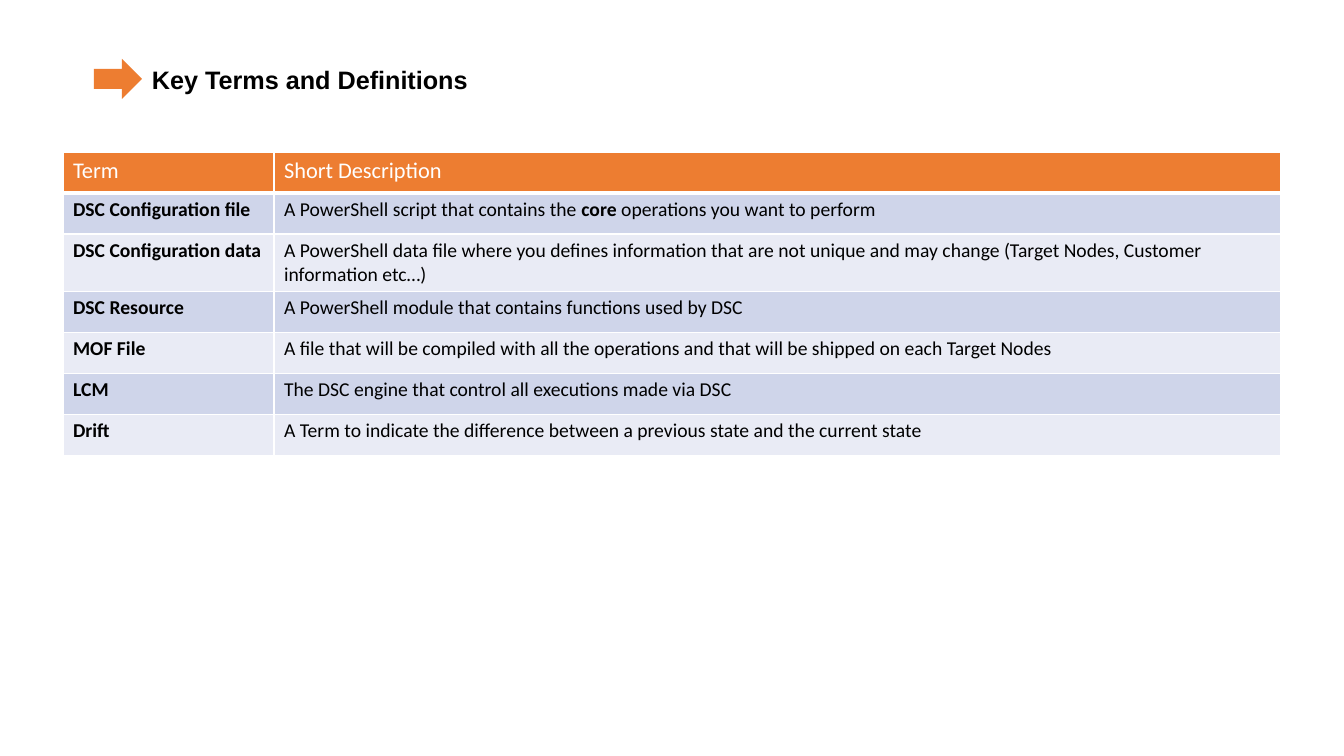
import pptx
import pptx.dml.color
import pptx.enum.shapes
import pptx.enum.text
import pptx.oxml
import pptx.oxml.ns
import pptx.util

TITLE = "Key Terms and Definitions"
HEADER = ("Term", ["Short Description"])
TERMS = [
    ("DSC Configuration file",
     ["A PowerShell script that contains the ", "core", " operations you want to perform"]),
    ("DSC Configuration data",
     ["A PowerShell data file where you defines information that are not unique "
      "and may change (Target Nodes, Customer information etc…)"]),
    ("DSC Resource", ["A PowerShell module that contains functions used by DSC"]),
    ("MOF File",
     ["A file that will be compiled with all the operations "
      "and that will be shipped on each Target Nodes"]),
    ("LCM", ["The DSC engine that control all executions made via DSC"]),
    ("Drift",
     ["A Term to indicate the difference between a previous state and the current state"]),
]
COLORS = {"accent": "ED7D31", "odd": "CFD5EA", "even": "E9EBF5",
          "white": "FFFFFF", "black": "000000"}
COLUMN_WIDTHS = [211, 1007]
ROW_HEIGHT = 41
ARROW = (94, 59, 48, 40)
TITLE_BOX = (142, 59, 340, 40)
TABLE_LEFT, TABLE_TOP = 63, 152


def px(length):
    return pptx.util.Emu(round(length * 914400 / 100.8))


def rgb(name):
    return pptx.dml.color.RGBColor.from_string(COLORS[name])


def style_run(run, font, size, color, bold):
    run.font.name = font
    run.font.size = pptx.util.Pt(size)
    run.font.color.rgb = rgb(color)
    run.font.bold = bold


def add_borders(cell, bottom_width):
    properties = cell._tc.get_or_add_tcPr()
    for side, points in (("L", 1), ("R", 1), ("T", 1), ("B", bottom_width)):
        properties.append(pptx.oxml.parse_xml(
            f'<a:ln{side} {pptx.oxml.ns.nsdecls("a")} w="{pptx.util.Pt(points)}">'
            f'<a:solidFill><a:srgbClr val="{COLORS["white"]}"/></a:solidFill></a:ln{side}>'))


def fill_cell(cell, pieces, fill, size, color, bold_pieces, bottom_width):
    add_borders(cell, bottom_width)
    cell.fill.solid()
    cell.fill.fore_color.rgb = rgb(fill)
    paragraph = cell.text_frame.paragraphs[0]
    for index, piece in enumerate(pieces):
        run = paragraph.add_run()
        run.text = piece
        style_run(run, "Calibri", size, color, index in bold_pieces)


def add_title(slide):
    arrow = slide.shapes.add_shape(
        pptx.enum.shapes.MSO_SHAPE.RIGHT_ARROW, *map(px, ARROW))
    arrow.shadow.inherit = False
    arrow.fill.solid()
    arrow.fill.fore_color.rgb = rgb("accent")
    arrow.line.fill.background()
    text_frame = slide.shapes.add_textbox(*map(px, TITLE_BOX)).text_frame
    text_frame.word_wrap = False
    text_frame.auto_size = pptx.enum.text.MSO_AUTO_SIZE.SHAPE_TO_FIT_TEXT
    text_frame.text = TITLE
    style_run(text_frame.paragraphs[0].runs[0], "Arial", 18, "black", True)


def add_terms_table(slide):
    rows = [HEADER] + TERMS
    table = slide.shapes.add_table(
        len(rows), len(COLUMN_WIDTHS), px(TABLE_LEFT), px(TABLE_TOP),
        px(sum(COLUMN_WIDTHS)), px(ROW_HEIGHT * len(rows))).table
    for column, width in zip(table.columns, COLUMN_WIDTHS):
        column.width = px(width)
    for index, (term, description) in enumerate(rows):
        table.rows[index].height = px(ROW_HEIGHT)
        if index == 0:
            look, bold_term, bold_description = ("accent", 16, "white"), (), ()
        else:
            look = ("odd" if index % 2 else "even", 14, "black")
            bold_term, bold_description = (0,), (1,)
        bottom_width = 1 if index else 3
        fill_cell(table.cell(index, 0), [term], *look, bold_term, bottom_width)
        fill_cell(table.cell(index, 1), description, *look, bold_description, bottom_width)


def main():
    presentation = pptx.Presentation()
    presentation.slide_width = px(1344)
    presentation.slide_height = px(756)
    slide = presentation.slides.add_slide(presentation.slide_layouts[6])
    add_title(slide)
    add_terms_table(slide)
    presentation.save("out.pptx")


if __name__ == "__main__":
    main()
